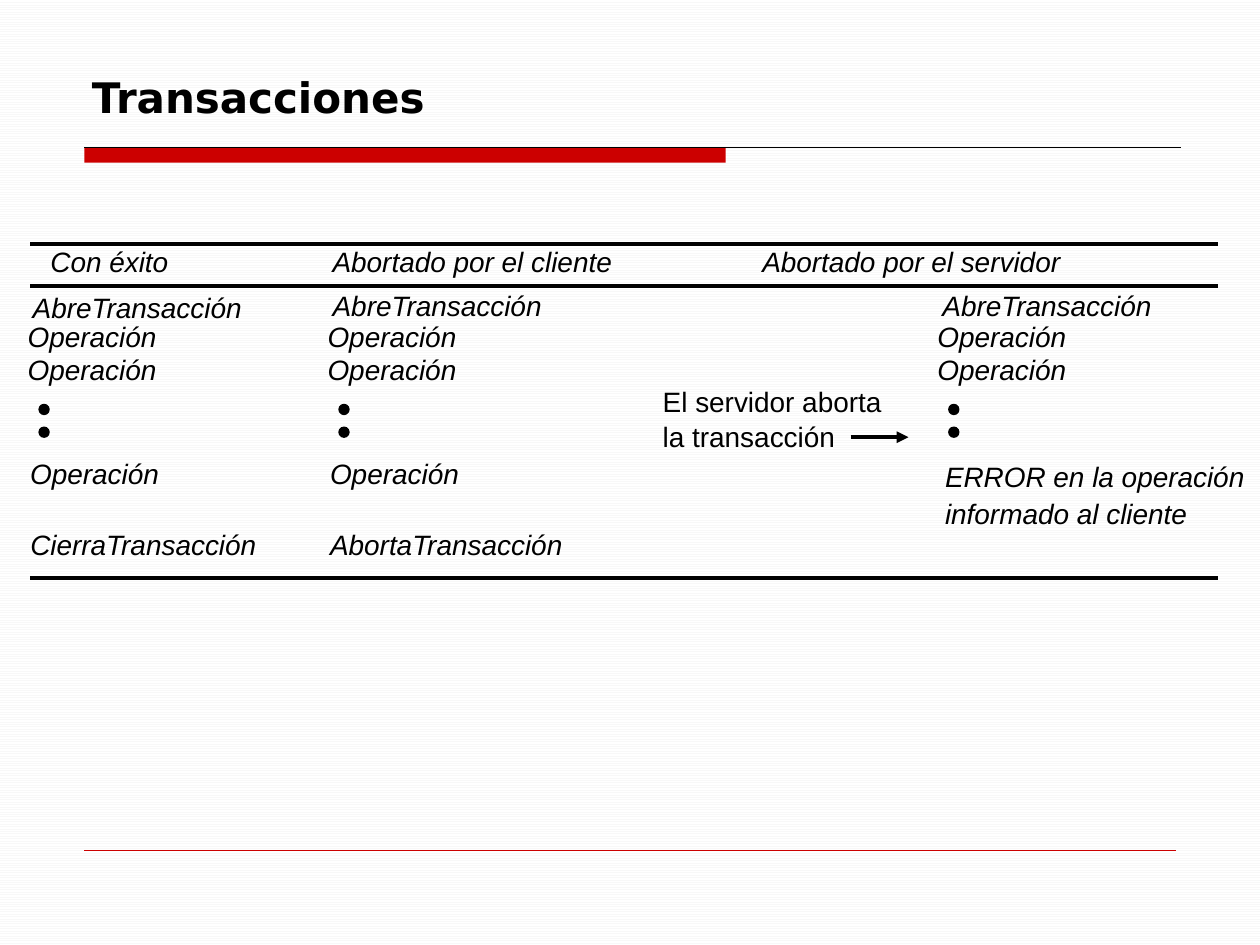
from dataclasses import dataclass

from lxml.etree import SubElement
from pptx import Presentation
from pptx.dml.color import RGBColor
from pptx.enum.dml import MSO_PATTERN
from pptx.enum.shapes import MSO_CONNECTOR, MSO_SHAPE
from pptx.enum.text import MSO_ANCHOR, MSO_AUTO_SIZE, PP_ALIGN
from pptx.oxml.ns import qn
from pptx.util import Inches, Pt


@dataclass(frozen=True)
class Theme:
    ink: RGBColor = RGBColor(0, 0, 0)
    accent: RGBColor = RGBColor(0xCC, 0, 0)
    paper: RGBColor = RGBColor(0xFF, 0xFF, 0xFF)
    stripe: RGBColor = RGBColor(0xF8, 0xF8, 0xF8)
    title_font: str = "DejaVu Sans"
    body_font: str = "Arial"
    title_size: Pt = Pt(24)
    body_size: Pt = Pt(16)
    hairline: Pt = Pt(0.25)
    thin: Pt = Pt(0.75)
    thick: Pt = Pt(2.25)


THEME = Theme()
TEXT_HEIGHT = 0.27
DOT_SIZE = 0.08
OPERATION_WIDTH = 1.06


def add_run(paragraph, text, font_name, size, bold=False, italic=False):
    run = paragraph.add_run()
    run.text = text
    run.font.name = font_name
    run.font.size = size
    run.font.bold = bold
    run.font.italic = italic
    run.font.color.rgb = THEME.ink


def add_label(shapes, text, left, top, width, italic=True):
    box = shapes.add_textbox(Inches(left), Inches(top), Inches(width), Inches(TEXT_HEIGHT))
    frame = box.text_frame
    frame.margin_left = frame.margin_top = frame.margin_right = frame.margin_bottom = 0
    frame.word_wrap = True
    frame.auto_size = MSO_AUTO_SIZE.SHAPE_TO_FIT_TEXT
    add_run(frame.paragraphs[0], text, THEME.body_font, THEME.body_size, italic=italic)


def add_rule(shapes, left, right, top, color, width, arrow=False):
    connector = shapes.add_connector(
        MSO_CONNECTOR.STRAIGHT, Inches(left), Inches(top), Inches(right), Inches(top)
    )
    connector.line.color.rgb = color
    connector.line.width = width
    if arrow:
        SubElement(connector.line._get_or_add_ln(), qn("a:tailEnd"), type="triangle")
    SubElement(connector._element.spPr, qn("a:effectLst"))


def add_solid(shapes, kind, left, top, width, height, color):
    shape = shapes.add_shape(kind, Inches(left), Inches(top), Inches(width), Inches(height))
    shape.shadow.inherit = False
    shape.fill.solid()
    shape.fill.fore_color.rgb = color
    return shape


def draw_background(slide):
    fill = slide.background.fill
    fill.patterned()
    fill.pattern = MSO_PATTERN.LIGHT_HORIZONTAL
    fill.fore_color.rgb = THEME.stripe
    fill.back_color.rgb = THEME.paper


def draw_decoration(slide, left, right):
    bar = add_solid(slide.shapes, MSO_SHAPE.RECTANGLE, left, 1.17, 5.09, 0.12, THEME.accent)
    bar.line.fill.background()
    add_rule(slide.shapes, left, 9.37, 1.17, THEME.ink, THEME.thin)
    add_rule(slide.shapes, left, right, 6.75, THEME.accent, THEME.hairline)


def draw_title(slide, left, top, width, height):
    title = slide.shapes.title
    title.left, title.top = Inches(left), Inches(top)
    title.width, title.height = Inches(width), Inches(height)
    frame = title.text_frame
    frame.vertical_anchor = MSO_ANCHOR.BOTTOM
    frame.word_wrap = True
    paragraph = frame.paragraphs[0]
    paragraph.alignment = PP_ALIGN.LEFT
    add_run(paragraph, "Transacciones", THEME.title_font, THEME.title_size, bold=True)


def draw_rules(shapes, left, right):
    for top in (1.94, 2.27, 4.59):
        add_rule(shapes, left, right, top, THEME.ink, THEME.thick)


def draw_column(shapes, left, open_top, heading, endings):
    add_label(shapes, *heading)
    add_label(shapes, "AbreTransacción", left + 0.02, open_top, 1.72)
    for top in (2.54, 2.8):
        add_label(shapes, "Operación", left - 0.02, top, OPERATION_WIDTH)
    for top in (3.21, 3.39):
        dot = add_solid(
            shapes, MSO_SHAPE.OVAL, left + 0.07, top, DOT_SIZE, DOT_SIZE, THEME.ink
        )
        dot.line.color.rgb = THEME.ink
        dot.line.width = THEME.thin
    for text, offset, top, width in endings:
        add_label(shapes, text, left + offset, top, width)


def draw_server_note(shapes, left, top):
    add_label(shapes, "El servidor aborta", left, top, 1.78, italic=False)
    add_label(shapes, "la transacción", left, top + 0.28, 1.41, italic=False)
    add_rule(shapes, left + 1.49, left + 1.95, top + 0.42, THEME.ink, THEME.thick, arrow=True)


def main():
    presentation = Presentation()
    presentation.slide_width, presentation.slide_height = Inches(10), Inches(7.5)
    slide = presentation.slides.add_slide(presentation.slide_layouts[5])
    draw_background(slide)
    draw_decoration(slide, 0.67, 9.33)
    draw_title(slide, 0.63, 0.16, 8.75, 0.86)

    shapes = slide.shapes.add_group_shape().shapes
    last_operation = ("Operación", 0, 3.62, OPERATION_WIDTH)
    columns = (
        (0.24, 2.31, ("Con éxito", 0.4, 1.94, 0.98),
         (last_operation, ("CierraTransacción", 0, 4.19, 1.85))),
        (2.62, 2.29, ("Abortado por el cliente", 2.64, 1.94, 2.26),
         (last_operation, ("AbortaTransacción", 0, 4.19, 2.13))),
        (7.46, 2.29, ("Abortado por el servidor", 6.05, 1.94, 2.5),
         (("ERROR en la operación", 0.04, 3.65, 2.42),
          ("informado al cliente", 0.04, 3.94, 1.98))),
    )
    for column in columns:
        draw_column(shapes, *column)
    draw_server_note(shapes, 5.26, 3.05)
    draw_rules(shapes, 0.24, 9.67)
    presentation.save("out.pptx")


if __name__ == "__main__":
    main()
